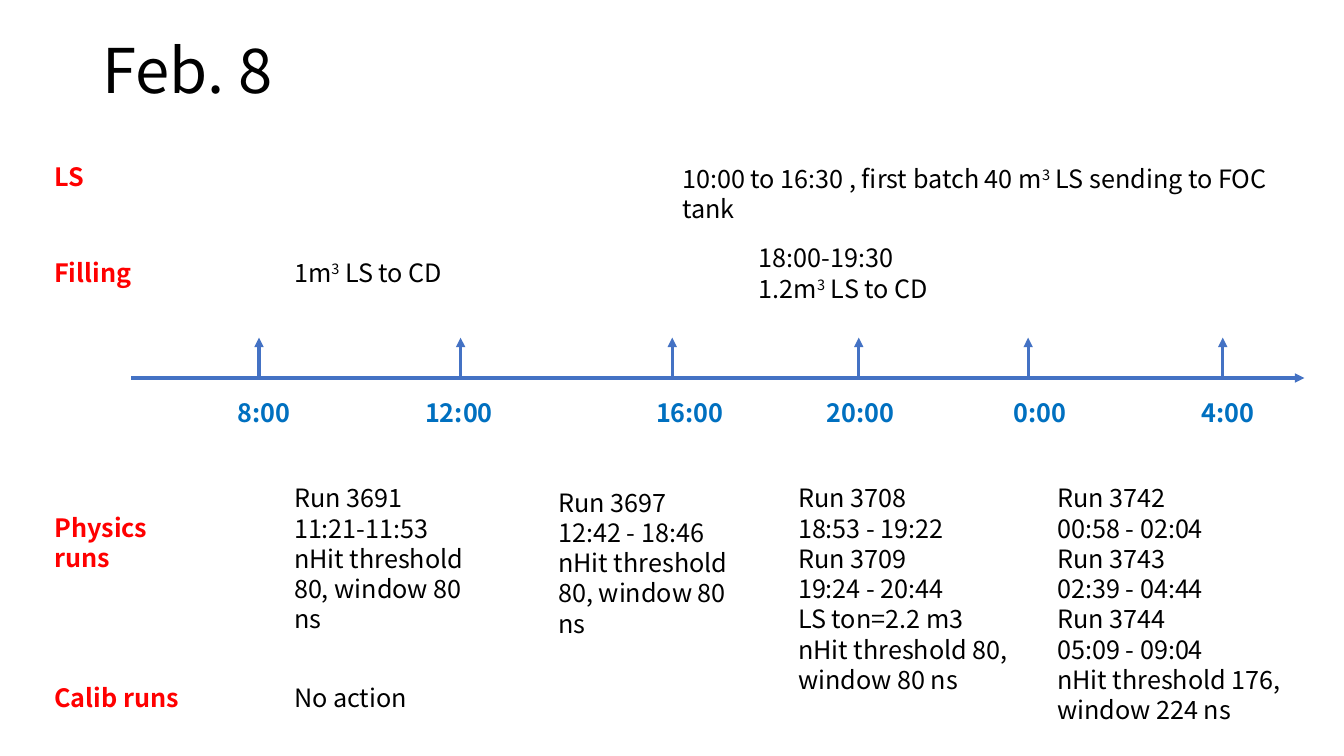
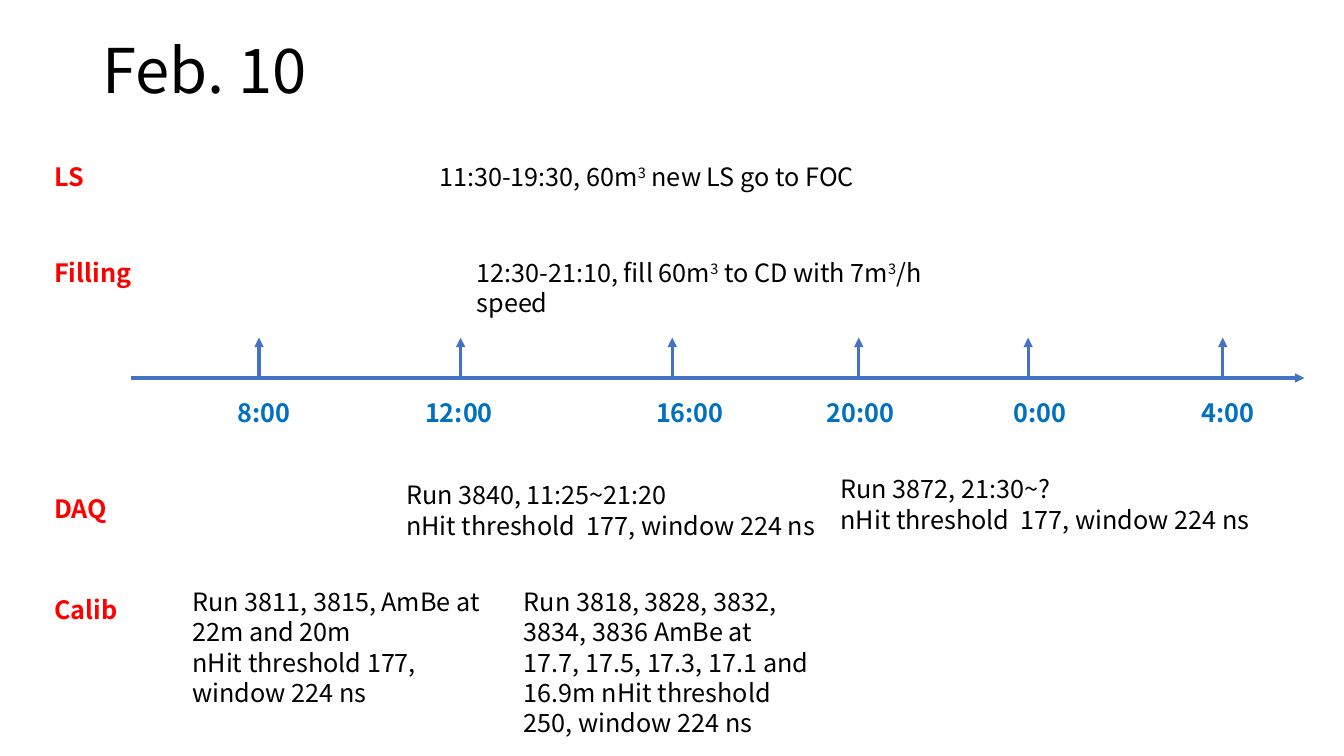
from lxml import etree
from pptx import Presentation
from pptx.dml.color import RGBColor
from pptx.enum import shapes, text
from pptx.oxml import ns
from pptx.util import Pt

FONT = "Noto Sans CJK SC"
COLORS = {"text": "000000", "label": "FF0000", "hour": "0070C0", "axis": "4472C4"}
LABEL_LEFT = 31.7
AXIS_BOX = (93.6, 241.2, 838.1, 28.8)  # left, top, width, height
HOUR_WIDTH = 80.6
# hour, tick offset and caption offset from the start of the axis
HOURS = [
    ("8:00", 91.4, 69.1),
    ("12:00", 235.4, 203),
    ("16:00", 386.6, 367.9),
    ("20:00", 519.8, 489.6),
    ("0:00", 640.8, 623.5),
    ("4:00", 779.8, 757.4),
]

DAYS = [
    {
        "title": "Feb. 8",
        # left-column labels: text, top, width
        "labels": [
            ("LS", 111.6, 61.9),
            ("Filling", 180, 74.9),
            ("Physics runs", 362.2, 123.6),
            ("Calib runs", 483.8, 123.8),
        ],
        # entries: left, top, width, paragraphs
        "entries": [
            (480.2, 113, 460.1, ["10:00 to 16:30 , first batch 40 m³ LS sending to FOC tank"]),
            (203, 180, 140.4, ["1m³ LS to CD"]),
            (535, 169.9, 140.4, ["18:00-19:30", "1.2m³ LS to CD"]),
            (203, 341.3, 154.1,
             ["Run 3691", "11:21-11:53", "nHit threshold 80, window 80 ns"]),
            (391.7, 344.2, 154.1,
             ["Run 3697", "12:42 - 18:46", "nHit threshold 80, window 80 ns"]),
            (203, 483.8, 601.9, ["No action"]),
            (563, 341.3, 177.1,
             ["Run 3708", "18:53 - 19:22", "Run 3709", "19:24 - 20:44",
              "LS ton=2.2 m3", "nHit threshold 80, window 80 ns"]),
            (748.1, 341.3, 192.2,
             ["Run 3742", "00:58 - 02:04", "Run 3743", "02:39 - 04:44",
              "Run 3744", "05:09 - 09:04", "nHit threshold 176, window 224 ns"]),
        ],
    },
    {
        "title": "Feb. 10",
        "labels": [
            ("LS", 111.6, 61.9),
            ("Filling", 180, 90.7),
            ("DAQ", 348.5, 61.9),
            ("Calib", 421.2, 61.9),
        ],
        "entries": [
            (333.4, 180, 370.1, ["12:30-21:10, fill 60m³ to CD with 7m³/h speed"]),
            (306.7, 111.6, 460.1, ["11:30-19:30, 60m³ new LS go to FOC"]),
            (130.3, 415.4, 226.1,
             ["Run 3811, 3815, AmBe at", "22m and 20m",
              "nHit threshold 177, window 224 ns"]),
            (367.2, 415.4, 226.1,
             ["Run 3818, 3828, 3832, 3834, 3836 AmBe at",
              "17.7, 17.5, 17.3, 17.1 and 16.9m nHit threshold 250, window 224 ns"]),
            (283, 339.1, 357.1,
             ["Run 3840, 11:25~21:20", "nHit threshold  177, window 224 ns"]),
            (593.3, 334.8, 357.1,
             ["Run 3872, 21:30~?", "nHit threshold  177, window 224 ns"]),
        ],
    },
]


def add_run(p, content, size=18, color="text", bold=False):
    r = p.add_run()
    r.text = content
    r.font.name = FONT
    r.font.size = Pt(size)
    r.font.bold = bold
    r.font.color.rgb = RGBColor.from_string(COLORS[color])
    return r


def add_text(s, left, top, width, paragraphs, color="text", bold=False):
    """Add a text box; each ³ becomes a superscript run."""
    height = 7.2 + 21.8 * len(paragraphs)
    sp = s.shapes.add_textbox(Pt(left), Pt(top), Pt(width), Pt(height))
    tf = sp.text_frame
    tf.word_wrap = True
    tf.auto_size = text.MSO_AUTO_SIZE.SHAPE_TO_FIT_TEXT
    for i, paragraph in enumerate(paragraphs):
        p = tf.add_paragraph() if i else tf.paragraphs[0]
        for j, part in enumerate(paragraph.split("³")):
            if j:
                power = add_run(p, "3", color=color, bold=bold)
                power._r.get_or_add_rPr().set("baseline", "30000")
            add_run(p, part, color=color, bold=bold)


def add_arrow(s, x1, y1, x2, y2):
    line = s.shapes.add_connector(
        shapes.MSO_CONNECTOR.STRAIGHT, Pt(x1), Pt(y1), Pt(x2), Pt(y2))
    line.line.color.rgb = RGBColor.from_string(COLORS["axis"])
    line.line.width = Pt(2.25)
    etree.SubElement(line.line._get_or_add_ln(), ns.qn("a:tailEnd"), type="triangle")
    etree.SubElement(line._element.spPr, ns.qn("a:effectLst"))


def add_title(s, content):
    sp = s.shapes.title
    sp.left, sp.top, sp.width, sp.height = Pt(66), Pt(0), Pt(828), Pt(104.4)
    tf = sp.text_frame
    tf.vertical_anchor = text.MSO_ANCHOR.MIDDLE
    p = tf.paragraphs[0]
    p.alignment = text.PP_ALIGN.LEFT
    p.line_spacing = 0.9
    add_run(p, content, size=44)


def add_timeline(s, left, top, width, height):
    axis = top + height
    add_arrow(s, left, axis, left + width, axis)
    for hour, tick, caption in HOURS:
        add_arrow(s, left + tick, axis, left + tick, top)
        add_text(s, left + caption, axis + 10.1, HOUR_WIDTH, [hour], "hour", True)


def add_day(prs, day):
    s = prs.slides.add_slide(prs.slide_layouts[5])
    add_title(s, day["title"])
    add_timeline(s, *AXIS_BOX)
    for label, top, width in day["labels"]:
        add_text(s, LABEL_LEFT, top, width, [label], "label", True)
    for entry in day["entries"]:
        add_text(s, *entry)


def main():
    prs = Presentation()
    prs.slide_width, prs.slide_height = Pt(960), Pt(540)
    for day in DAYS:
        add_day(prs, day)
    prs.save("out.pptx")


if __name__ == "__main__":
    main()
